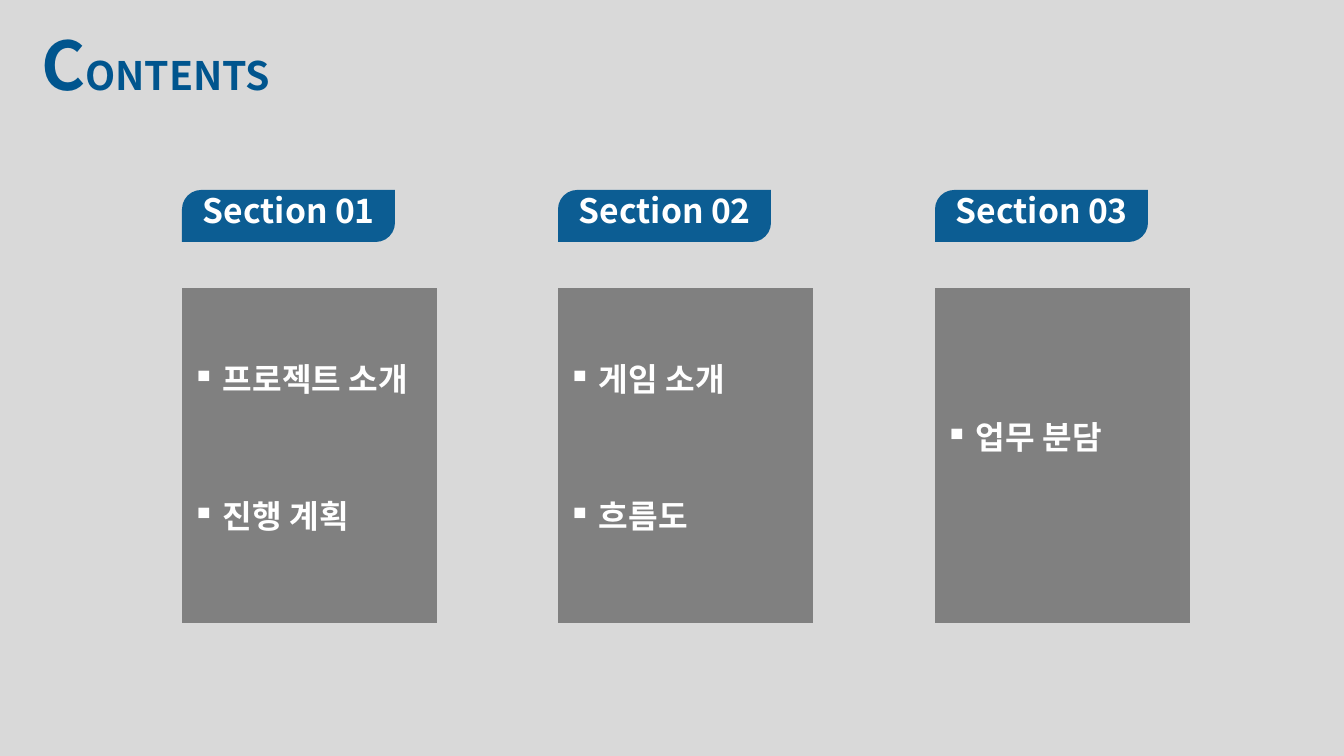
"""Build a contents slide with three section columns."""
from dataclasses import dataclass
from lxml.etree import SubElement
from pptx import Presentation
from pptx.dml.color import RGBColor
from pptx.enum.shapes import MSO_SHAPE
from pptx.enum.text import MSO_ANCHOR, MSO_AUTO_SIZE, PP_ALIGN
from pptx.oxml.ns import qn
from pptx.util import Pt

SCALE = 914400 / 100.8


@dataclass(frozen=True)
class Theme:
    """Hold the colours, font and type sizes."""
    back: str = "D9D9D9"
    title: str = "00558E"
    tab: str = "0C5D93"
    panel: str = "808080"
    light: str = "FFFFFF"
    font: str = "Noto Sans CJK KR"
    large: int = 48
    small: int = 28
    head: int = 24
    item: int = 23


THEME = Theme()
COLUMNS = [
    ("01", [("프로젝트 소개", 71), ("진행 계획", 208)]),
    ("02", [("게임 소개", 71), ("흐름도", 208)]),
    ("03", [("업무 분담", 129)]),
]


def px(*sizes):
    """Turn pixels into EMU."""
    return [round(size * SCALE) for size in sizes]


def paint(fill, color):
    """Give a fill one solid colour."""
    fill.solid()
    fill.fore_color.rgb = RGBColor.from_string(color)


def block(slide, kind, box, color):
    """Draw a flat shape without a line."""
    shape = slide.shapes.add_shape(kind, *px(*box))
    shape.shadow.inherit = False
    shape.line.fill.background()
    paint(shape.fill, color)
    return shape


def write(shape, texts, size, color, align=PP_ALIGN.LEFT):
    """Write one bold line of runs and return its paragraph."""
    frame = shape.text_frame
    frame.word_wrap = True
    frame.auto_size = MSO_AUTO_SIZE.SHAPE_TO_FIT_TEXT
    frame.vertical_anchor = MSO_ANCHOR.TOP
    line = frame.paragraphs[0]
    line.alignment = align
    line.line_spacing = 0.9
    font = line.font
    font.name, font.size, font.bold = THEME.font, Pt(size), True
    font.color.rgb = RGBColor.from_string(color)
    for text in texts:
        run = line.add_run()
        run.text = text
        east = SubElement(run.font._element, qn("a:ea"))
        east.set("typeface", THEME.font)
    return line


def label(slide, box, *style):
    """Add a text box holding one line."""
    return write(slide.shapes.add_textbox(*px(*box)), *style)


def header(slide, box):
    """Place the title with a large first letter."""
    title = slide.shapes.title
    title.left, title.top, title.width, title.height = px(*box)
    line = write(title, ["C", "ONTENTS"], THEME.large, THEME.title)
    line.runs[1].font.size = Pt(THEME.small)


def tab(slide, box, number):
    """Draw a section tab with its number."""
    shape = block(slide, MSO_SHAPE.ROUND_2_DIAG_RECTANGLE, box, THEME.tab)
    shape.adjustments[0] = 0.37
    shape.adjustments[1] = 0
    line = label(slide, box, ["Section ", number], THEME.head,
                 THEME.light, PP_ALIGN.CENTER)
    line.runs[1].font._element.set("spc", "-50")


def bullet(line, indent):
    """Give a line a square bullet and a hanging indent."""
    props = line._p.get_or_add_pPr()
    step = px(indent)[0]
    props.set("marL", str(step))
    props.set("indent", str(-step))
    mark = props.makeelement(qn("a:buChar"), {"char": "▪"})
    props.find(qn("a:defRPr")).addprevious(mark)


def panel(slide, box, items):
    """Draw a grey panel with its bulleted items."""
    left, top, width, _ = box
    block(slide, MSO_SHAPE.FLOWCHART_PROCESS, box, THEME.panel)
    for text, drop in items:
        place = (left, top + drop, width + 20, 50)
        bullet(label(slide, place, [text], THEME.item, THEME.light), 31)


def column(slide, box, number, items):
    """Stack a section tab above its panel."""
    left, top, width, height = box
    tab(slide, (left, top, 213, 52), number)
    panel(slide, (left, top + 98, width, height - 98), items)


def main():
    """Build and save the slide."""
    deck = Presentation()
    deck.slide_width, deck.slide_height = px(1344, 756)
    slide = deck.slides.add_slide(deck.slide_layouts[5])
    paint(slide.background.fill, THEME.back)
    header(slide, (31, 27, 301, 92))
    for place, (number, items) in enumerate(COLUMNS):
        left = 182 + round(376.5 * place)
        column(slide, (left, 190, 255, 433), number, items)
    deck.save("out.pptx")


main()
